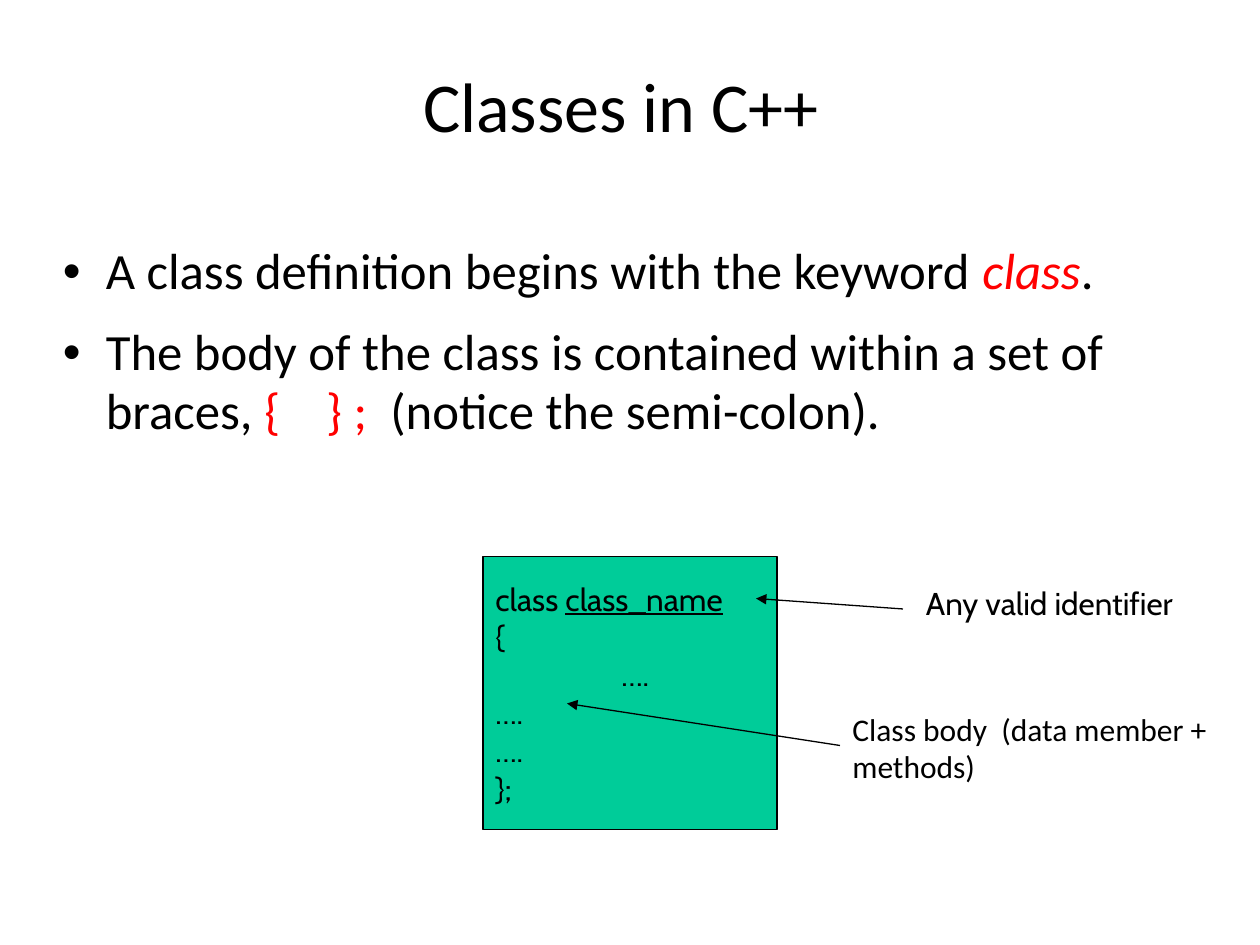
from lxml.etree import SubElement
from pptx import Presentation
from pptx.dml.color import RGBColor
from pptx.enum.shapes import MSO_CONNECTOR, MSO_SHAPE
from pptx.enum.text import MSO_ANCHOR, PP_ALIGN
from pptx.oxml.ns import qn
from pptx.util import Inches, Pt

UNIT = Inches(1) / 12  # the slide is 120 columns by 90 rows
BLACK, RED, GREEN = "000000", "FF0000", "00CC99"


def color(value):
    return RGBColor.from_string(value)


def write(shape, paragraphs, size, font="Calibri", insets=(0.1, 0.05, 0.1, 0.05),
          anchor=MSO_ANCHOR.TOP, align=PP_ALIGN.LEFT, line_spacing=None,
          space_after=None, bullet=None, tab=None):
    """Fill a shape; each paragraph is a list of (text, run format) pairs."""
    frame = shape.text_frame
    frame.word_wrap = True
    frame.vertical_anchor = anchor
    frame.margin_left, frame.margin_top, frame.margin_right, frame.margin_bottom = map(Inches, insets)
    for index, runs in enumerate(paragraphs):
        paragraph = frame.paragraphs[0] if index == 0 else frame.add_paragraph()
        properties = paragraph._p.get_or_add_pPr()
        if bullet:
            properties.set("marL", str(Inches(0.34)))
            properties.set("indent", str(-Inches(0.34)))
            SubElement(properties, qn("a:buFont"), typeface="Arial")
            SubElement(properties, qn("a:buChar"), char=bullet)
        if tab:
            stops = SubElement(properties, qn("a:tabLst"))
            SubElement(stops, qn("a:tab"), pos=str(Inches(tab)), algn="l")
        paragraph.alignment = align
        if line_spacing:
            paragraph.line_spacing = line_spacing
        if space_after:
            paragraph.space_after = Pt(space_after)
        for text, run_format in runs:
            run = paragraph.add_run()
            run.text = text
            run.font.name = font
            run.font.size = Pt(size)
            run.font.color.rgb = color(run_format.get("color", BLACK))
            run.font.italic = run_format.get("italic")
            run.font.underline = run_format.get("underline")


presentation = Presentation()
presentation.slide_width, presentation.slide_height = Inches(10), Inches(7.5)
slide = presentation.slides.add_slide(presentation.slide_layouts[6])
shapes = slide.shapes

# Title and bullets
title = shapes.add_textbox(*(int(n * UNIT) for n in (6, 3.6, 106.3, 13.4)))
write(title, [[("Classes in C++", {})]], 40, insets=(0.09, 0.05, 0.09, 0.05),
      anchor=MSO_ANCHOR.MIDDLE, align=PP_ALIGN.CENTER, line_spacing=0.97)

body = shapes.add_textbox(*(int(n * UNIT) for n in (6, 21, 106.3, 57.8)))
write(body, [
    [("A class definition begins with the keyword ", {}),
     ("class", {"color": RED, "italic": True}), (".", {})],
    [("The body of the class is contained within a set of braces, ", {}),
     ("{    } ;", {"color": RED}), ("  (notice the semi-colon).", {})],
], 29, insets=(0, 0.17, 0, 0), line_spacing=0.97, space_after=12.9, bullet="•")

# Class skeleton
code = shapes.add_shape(MSO_SHAPE.RECTANGLE, *(int(n * UNIT) for n in (46, 53, 28, 26)))
code.shadow.inherit = False
code.fill.solid()
code.fill.fore_color.rgb = color(GREEN)
code.line.color.rgb = color(BLACK)
code.line.width = Pt(0.75)
code_lines = [[(line, {})] for line in ("{", "\t….", "….", "….", "};")]
write(code, [[("class ", {}), ("class_name", {"underline": True})]] + code_lines,
      18, font="Cabin", anchor=MSO_ANCHOR.MIDDLE, tab=1)

# Callouts: text, font, box, arrow from start to end
callouts = [
    ("Class body  (data member + methods)", "Calibri", (80, 67, 40, 8.4), (80, 71, 54, 67)),
    ("Any valid identifier", "Cabin", (87, 55, 26, 8.4), (86, 58, 72, 57)),
]
for text, font, box, ends in callouts:
    arrow = shapes.add_connector(MSO_CONNECTOR.STRAIGHT, *(int(n * UNIT) for n in ends))
    arrow.line.color.rgb = color(BLACK)
    arrow.line.width = Pt(0.75)
    SubElement(arrow.line._get_or_add_ln(), qn("a:tailEnd"), type="triangle")
    SubElement(arrow._element.spPr, qn("a:effectLst"))
    label = shapes.add_textbox(*(int(n * UNIT) for n in box))
    write(label, [[(text, {})]], 18, font=font)

presentation.save("out.pptx")
